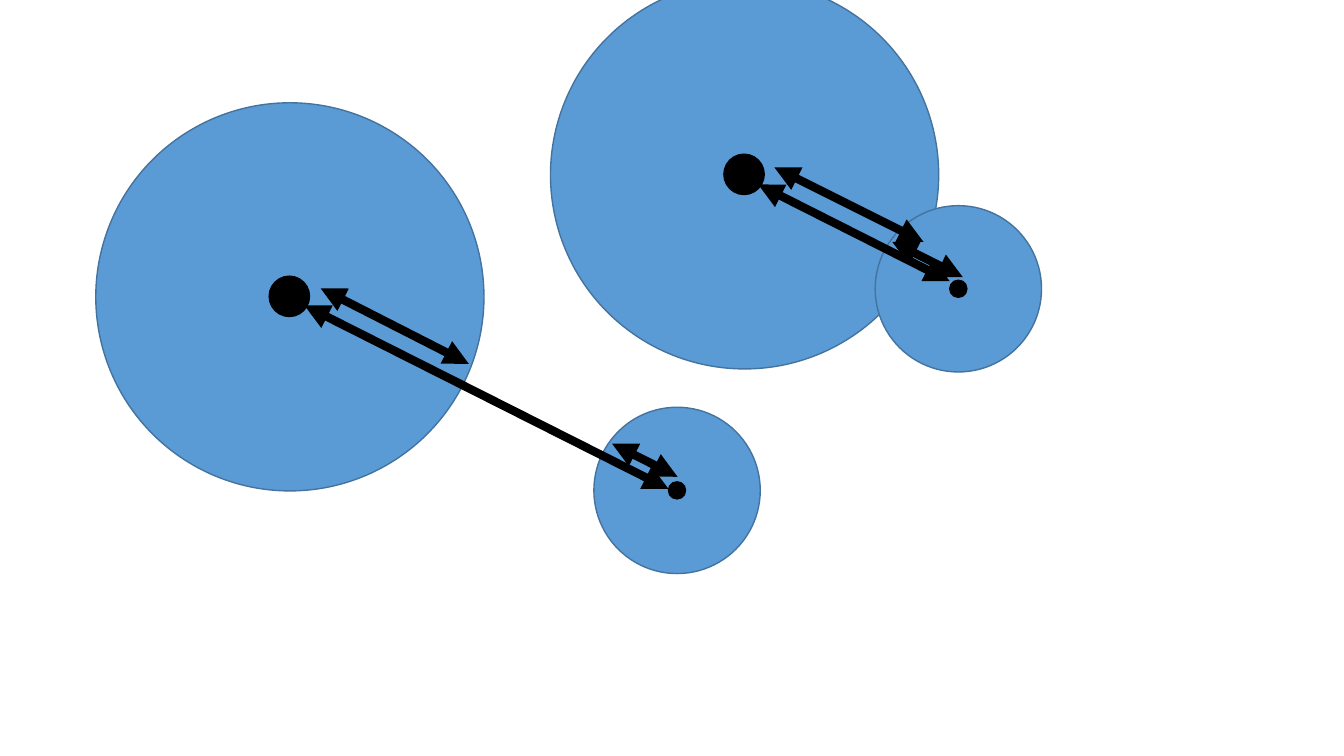
import dataclasses
import typing

import lxml.etree
import pptx
import pptx.dml.color
import pptx.enum.shapes
import pptx.oxml.ns
import pptx.util

SCALE = 9144
BLUE = pptx.dml.color.RGBColor(0x5B, 0x9B, 0xD5)
EDGE = pptx.dml.color.RGBColor(0x43, 0x73, 0x9E)
BLACK = pptx.dml.color.RGBColor(0, 0, 0)
BIG, CORE = 385, 40
SMALL, DOT = 165, 17


@dataclasses.dataclass(frozen=True)
class Disc:
    left: int
    top: int
    size: int
    dot: int


@dataclasses.dataclass(frozen=True)
class Arrow:
    left: int
    top: int
    right: int
    low: int


@dataclasses.dataclass(frozen=True)
class Scene:
    discs: tuple[Disc, ...]
    arrows: tuple[Arrow, ...]


SCENES = (
    Scene(
        (Disc(95, 102, BIG, CORE), Disc(589, 404, SMALL, DOT)),
        (Arrow(302, 303, 663, 485), Arrow(318, 286, 465, 361),
         Arrow(607, 440, 672, 473)),
    ),
    Scene(
        (Disc(546, -19, BIG, CORE), Disc(868, 204, SMALL, DOT)),
        (Arrow(752, 183, 942, 279), Arrow(768, 166, 916, 240),
         Arrow(885, 240, 955, 275)),
    ),
)


def emu(count: int) -> int:
    return pptx.util.Emu(count * SCALE)


def apply(item: typing.Any, values: dict[str, typing.Any]) -> None:
    for name, value in values.items():
        setattr(item, name, value)


def draw_round(
    group: typing.Any, left: int, top: int, size: int,
    fill: pptx.dml.color.RGBColor, edge: pptx.dml.color.RGBColor,
) -> None:
    kind = pptx.enum.shapes.MSO_SHAPE.OVAL
    shape = group.shapes.add_shape(kind, emu(left), emu(top), emu(size), emu(size))
    shape.shadow.inherit = False
    shape.fill.solid()
    shape.fill.fore_color.rgb = fill
    apply(shape.line, {"width": pptx.util.Pt(1)})
    shape.line.color.rgb = edge


def draw_disc(slide: typing.Any, disc: Disc) -> None:
    group = slide.shapes.add_group_shape()
    inset = (disc.size - disc.dot) // 2
    draw_round(group, disc.left, disc.top, disc.size, BLUE, EDGE)
    draw_round(group, disc.left + inset, disc.top + inset, disc.dot, BLACK, BLACK)


def draw_arrow(slide: typing.Any, arrow: Arrow) -> None:
    ends = [emu(count) for count in dataclasses.astuple(arrow)]
    kind = pptx.enum.shapes.MSO_CONNECTOR.STRAIGHT
    line = slide.shapes.add_connector(kind, *ends)
    apply(line.line, {"width": pptx.util.Pt(6)})
    line.line.color.rgb = BLACK
    props = line.line._get_or_add_ln()
    for tag in ("a:headEnd", "a:tailEnd"):
        lxml.etree.SubElement(props, pptx.oxml.ns.qn(tag), type="triangle")
    lxml.etree.SubElement(props.getparent(), pptx.oxml.ns.qn("a:effectLst"))


def main() -> None:
    deck = pptx.Presentation()
    apply(deck, {"slide_width": emu(1333), "slide_height": emu(750)})
    slide = deck.slides.add_slide(deck.slide_layouts[6])
    for scene in SCENES:
        for disc in scene.discs:
            draw_disc(slide, disc)
        for arrow in scene.arrows:
            draw_arrow(slide, arrow)
    deck.save("out.pptx")


if __name__ == "__main__":
    main()
